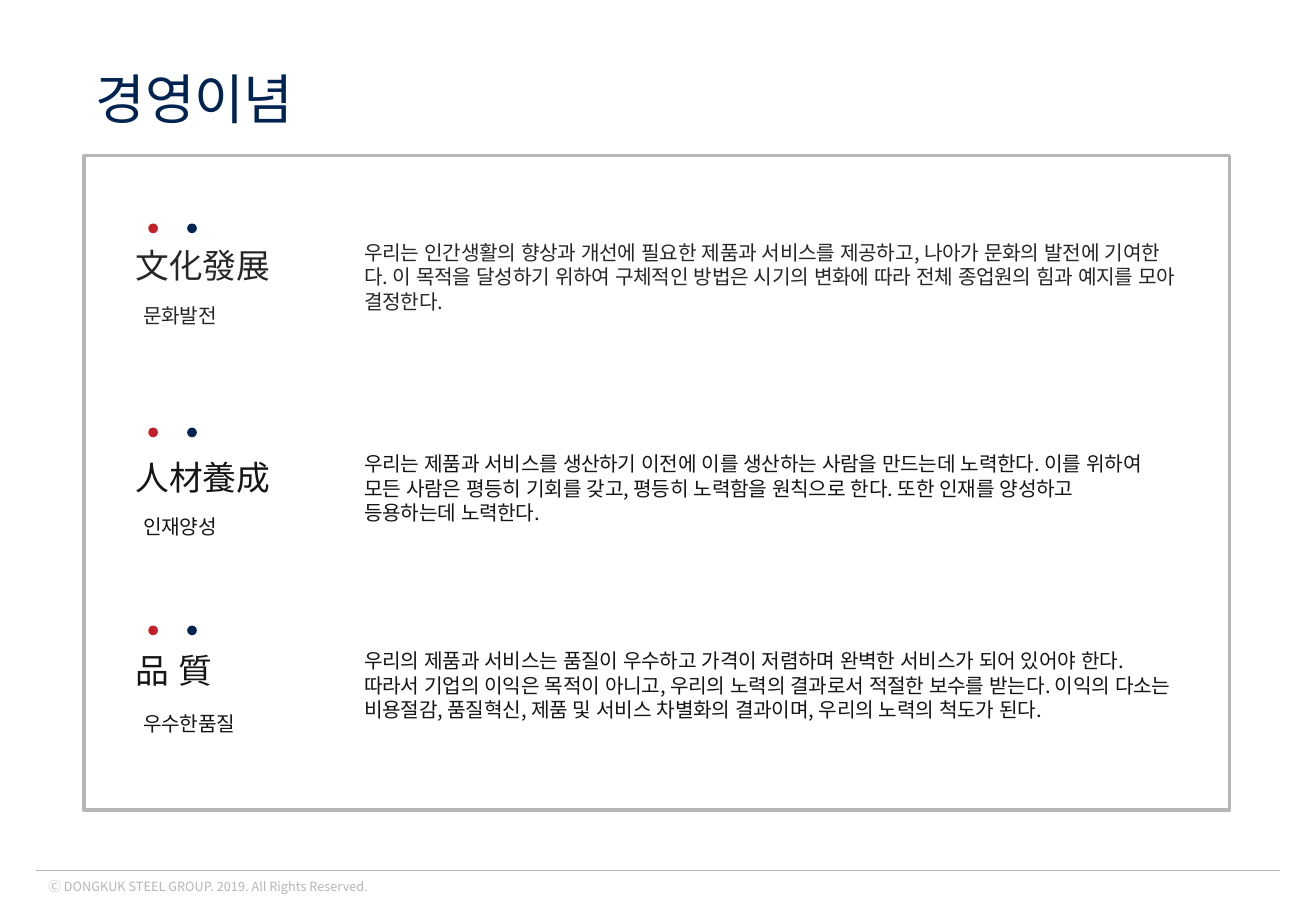
"""Build the management philosophy slide with three principles in a frame."""
import pptx
import pptx.dml.color
import pptx.enum.shapes
import pptx.enum.text
import pptx.oxml.ns
import pptx.util

Inches = pptx.util.Inches
Pt = pptx.util.Pt
RGB = pptx.dml.color.RGBColor.from_string
SHAPE = pptx.enum.shapes.MSO_SHAPE
ANCHOR = pptx.enum.text.MSO_ANCHOR
ALIGN = pptx.enum.text.PP_ALIGN

FONT = "Noto Sans CJK KR"
COLORS = {"navy": "002452", "red": "C51F2A", "gray": "B6B6B6",
          "dark": "262626", "black": "161516"}

prs = pptx.Presentation()
prs.slide_width = Inches(10.83)
prs.slide_height = Inches(7.5)
s = prs.slides.add_slide(prs.slide_layouts[6])


def add_text(box, text, size, color, anchor=ANCHOR.MIDDLE, spacing=-0.2,
             line=1.0, align=ALIGN.LEFT, bottom=0.05):
    tf = s.shapes.add_textbox(*map(Inches, box)).text_frame
    tf.word_wrap = True
    tf.vertical_anchor = anchor
    tf.margin_bottom = Inches(bottom)
    p = tf.paragraphs[0]
    p.alignment = align
    p.line_spacing = line
    r = p.add_run()
    r.text = text
    r.font.size = Pt(size)
    r.font.name = FONT
    r.font.color.rgb = RGB(COLORS[color])
    rPr = r.font._element
    rPr.set("lang", "ko-KR")
    rPr.set("spc", str(round(spacing * 100)))
    ea = rPr.makeelement(pptx.oxml.ns.qn("a:ea"), {"typeface": FONT})
    rPr.find(pptx.oxml.ns.qn("a:latin")).addnext(ea)


rule = s.shapes.add_connector(pptx.enum.shapes.MSO_CONNECTOR.STRAIGHT,
                              Inches(0.3), Inches(7.17), Inches(10.53), Inches(7.17))
rule.line.color.rgb = RGB(COLORS["gray"])
rule.line.width = Pt(0.5)
spPr = rule._element.spPr
spPr.append(spPr.makeelement(pptx.oxml.ns.qn("a:effectLst"), {}))

add_text((0.3, 7.18, 3.47, 0.23), "Ⓒ DONGKUK STEEL GROUP. 2019. All Rights Reserved.",
         7.5, "gray", spacing=0)

frame = s.shapes.add_shape(SHAPE.RECTANGLE, Inches(0.69), Inches(1.28),
                           Inches(9.43), Inches(5.39))
frame.shadow.inherit = False
frame.fill.background()
frame.line.color.rgb = RGB(COLORS["gray"])
frame.line.width = Pt(2)

add_text((0.69, 0.55, 3.5, 0.52), "경영이념", 32, "navy", ANCHOR.BOTTOM,
         line=1.1, bottom=0)

principles = [
    (1.84, 1.96, 1.93, 6.92, "dark", "文化發展", -0.2, ALIGN.JUSTIFY, "문화발전",
     "우리는 인간생활의 향상과 개선에 필요한 제품과 서비스를 제공하고, 나아가 문화의 발전에 "
     "기여한다. 이 목적을 달성하기 위하여 구체적인 방법은 시기의 변화에 따라 전체 종업원의 힘과 "
     "예지를 모아 결정한다."),
    (3.52, 3.7, 3.67, 6.82, "black", "人材養成", -0.2, ALIGN.JUSTIFY, "인재양성",
     "우리는 제품과 서비스를 생산하기 이전에 이를 생산하는 사람을 만드는데 노력한다. 이를 위하여 "
     "모든 사람은 평등히 기회를 갖고, 평등히 노력함을 원칙으로 한다. 또한 인재를 양성하고 "
     "등용하는데 노력한다."),
    (5.15, 5.29, 5.29, 6.92, "black", "品質", 5, ALIGN.LEFT, "우수한품질",
     "우리의 제품과 서비스는 품질이 우수하고 가격이 저렴하며 완벽한 서비스가 되어 있어야 한다. "
     "따라서 기업의 이익은 목적이 아니고, 우리의 노력의 결과로서 적절한 보수를 받는다. 이익의 "
     "다소는 비용절감, 품질혁신, 제품 및 서비스 차별화의 결과이며, 우리의 노력의 척도가 된다."),
]

for dot_y, hanja_y, body_y, body_w, color, hanja, spacing, align, hangul, body in principles:
    for dot_x, dot_color in ((1.22, "red"), (1.54, "navy")):
        dot = s.shapes.add_shape(SHAPE.OVAL, Inches(dot_x), Inches(dot_y),
                                 Inches(0.08), Inches(0.08))
        dot.shadow.inherit = False
        dot.fill.solid()
        dot.fill.fore_color.rgb = RGB(COLORS[dot_color])
        dot.line.fill.background()
    add_text((2.9, body_y, body_w, 0.79), body, 12, color, ANCHOR.TOP)
    add_text((1.08, body_y + 0.44, 1.38, 0.45), hangul, 12, color, align=ALIGN.JUSTIFY)
    add_text((1.02, hanja_y, 1.5, 0.45), hanja, 20, color, spacing=spacing, align=align)

prs.save("out.pptx")
